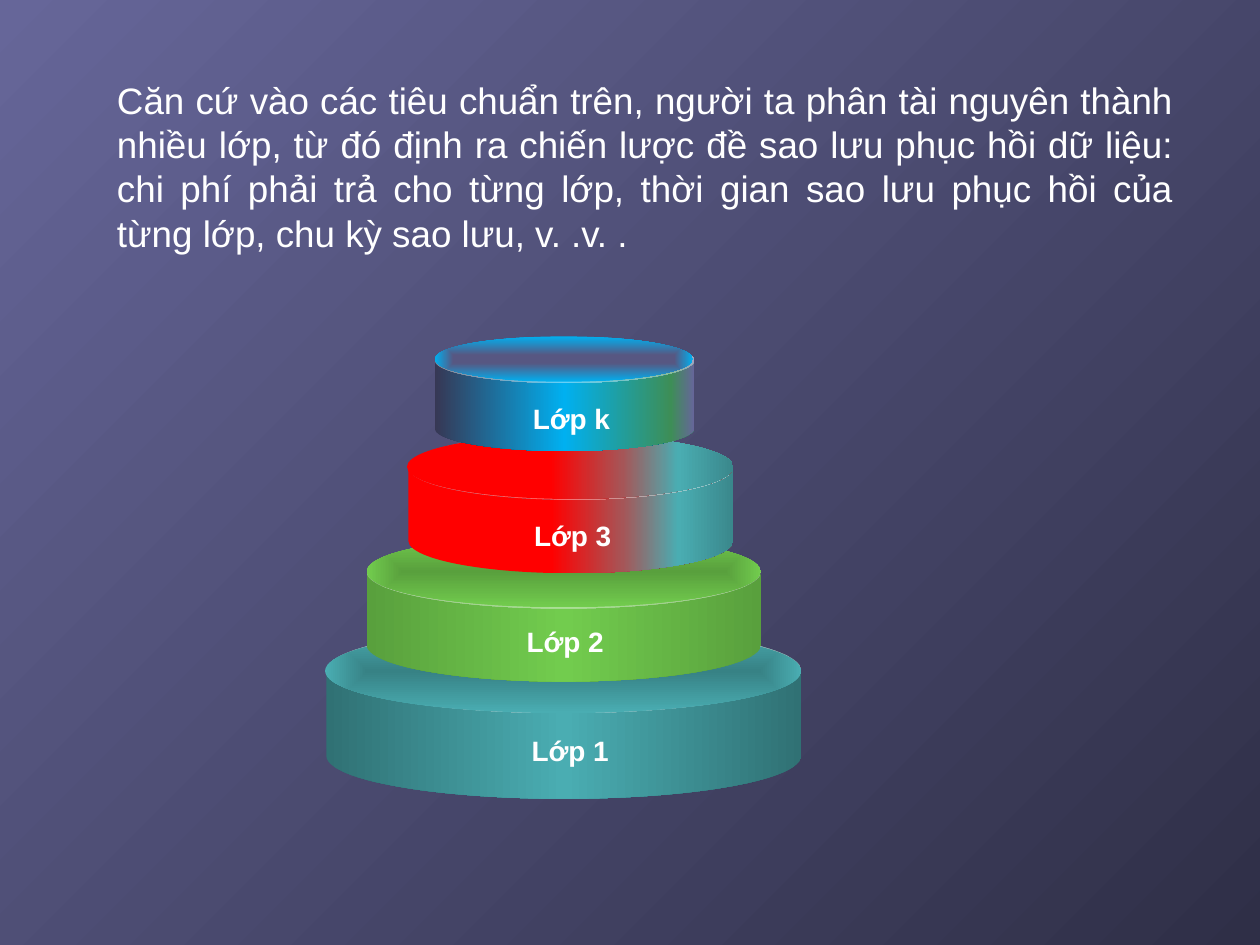
from typing import Any, NamedTuple

from lxml.etree import SubElement
from pptx import Presentation
from pptx.dml.color import RGBColor
from pptx.enum.shapes import MSO_SHAPE
from pptx.enum.text import MSO_AUTO_SIZE, PP_ALIGN
from pptx.oxml import parse_xml
from pptx.oxml.ns import nsdecls, qn
from pptx.util import Inches, Pt

WIDTH, HEIGHT = Inches(10), Inches(7.5)
COLUMNS, ROWS = 100, 75
INTRO = (
    "Căn cứ vào các tiêu chuẩn trên, người ta phân tài nguyên thành nhiều lớp, "
    "từ đó định ra chiến lược đề sao lưu phục hồi dữ liệu: chi phí phải trả cho "
    "từng lớp, thời gian sao lưu phục hồi của từng lớp, chu kỳ sao lưu, v. .v. . "
)


class Area(NamedTuple):
    """Left, top, width and height in grid columns and rows."""

    left: float
    top: float
    width: float
    height: float


class Stop(NamedTuple):
    """A gradient stop, with the share of light kept in percent."""

    position: int
    colour: str
    shade: int = 100


class Gradient(NamedTuple):
    """Gradient stops, linear at an angle or following the outline."""

    stops: list[Stop]
    angle: int = 0
    radial: bool = False


class Tier(NamedTuple):
    """One layer of the tower."""

    label: str
    body: Area
    depth: float
    body_fill: Gradient
    lid: Area
    lid_fill: Gradient
    caption: Area
    align: Any = PP_ALIGN.CENTER
    wrap: bool = True


def across(colour: str, shade: int) -> Gradient:
    """Return a gradient that is bright in the middle."""
    return Gradient([Stop(0, colour, shade), Stop(50, colour), Stop(100, colour, shade)])


def inward(colour: str, shade: int) -> Gradient:
    """Return a gradient that darkens towards the centre."""
    return Gradient([Stop(0, colour, shade), Stop(100, colour)], radial=True)


RED_TO_TEAL = Gradient(
    [Stop(44, "FF0000"), Stop(66, "A65557"), Stop(83, "4AADB2"), Stop(100, "4AADB2", 58)]
)
BLUE_BODY = Gradient(
    [Stop(0, "373754"), Stop(50, "00B0F0"), Stop(91, "3D8E57"), Stop(100, "666699")]
)
BLUE_LID = Gradient([Stop(18, "575782"), Stop(100, "00B0F0")], radial=True)

TIERS = [
    Tier("Lớp 1", Area(25.9, 49.8, 37.7, 13.6), 0.5, across("4AADB2", 38),
         Area(25.8, 49.9, 37.8, 6.7), inward("4AADB2", 52), Area(36.3, 57.7, 17.9, 3.7)),
    Tier("Lớp 2", Area(29.1, 42.5, 31.3, 11.6), 0.5, across("72CC4E", 58),
         Area(29.1, 42.5, 31.3, 5.7), inward("72CC4E", 58), Area(35.9, 49.1, 17.9, 3.7)),
    Tier("Lớp 3", Area(32.4, 34.5, 25.8, 11), 0.47, RED_TO_TEAL,
         Area(32.3, 34.5, 25.9, 5.1), RED_TO_TEAL, Area(41.4, 40.7, 8.2, 3.7),
         PP_ALIGN.LEFT, False),
    Tier("Lớp k", Area(34.5, 26.8, 20.6, 9), 0.4, BLUE_BODY,
         Area(34.5, 26.7, 20.5, 3.6), BLUE_LID, Area(41.3, 31.4, 8.2, 3.7), PP_ALIGN.LEFT),
]


def place(area: Area) -> tuple[int, ...]:
    """Turn grid units into slide lengths."""
    across_unit, down_unit = WIDTH / COLUMNS, HEIGHT / ROWS
    units = (across_unit, down_unit, across_unit, down_unit)
    return tuple(round(share * unit) for share, unit in zip(area, units))


def colour_of(code: str) -> RGBColor:
    """Return the colour for a hex string."""
    return RGBColor.from_string(code)


def apply_format(target: Any, values: dict[str, Any]) -> None:
    """Set every attribute named in the format values."""
    for name, value in values.items():
        setattr(target, name, value)


def apply_gradient(properties: Any, gradient: Gradient) -> None:
    """Replace the empty fill of a properties element by a gradient."""
    fill = parse_xml(f'<a:gradFill {nsdecls("a")} rotWithShape="1"><a:gsLst/></a:gradFill>')
    for stop in gradient.stops:
        mark = SubElement(fill[0], qn("a:gs"), pos=str(stop.position * 1000))
        tone = SubElement(mark, qn("a:srgbClr"), val=str(colour_of(stop.colour)))
        if stop.shade < 100:
            SubElement(tone, qn("a:shade"), val=str(stop.shade * 1000))
    if gradient.radial:
        outline = SubElement(fill, qn("a:path"), path="shape")
        SubElement(outline, qn("a:fillToRect"), dict.fromkeys("ltrb", "50000"))
    else:
        SubElement(fill, qn("a:lin"), ang=str(gradient.angle * 60000), scaled="1")
    properties.replace(properties.find(qn("a:noFill")), fill)


def draw_solid(slide: Any, kind: MSO_SHAPE, area: Area, gradient: Gradient) -> Any:
    """Draw a gradient shape without outline or shadow."""
    solid = slide.shapes.add_shape(kind, *place(area))
    solid.shadow.inherit = False
    solid.line.fill.background()
    solid.fill.background()
    apply_gradient(solid._element.spPr, gradient)
    return solid


def draw_words(slide: Any, words: str, area: Area, size: int, align: Any,
               bold: bool = False, wrap: bool = True) -> None:
    """Draw one paragraph of white text."""
    frame = slide.shapes.add_textbox(*place(area)).text_frame
    apply_format(frame, {"word_wrap": wrap, "auto_size": MSO_AUTO_SIZE.SHAPE_TO_FIT_TEXT})
    paragraph = frame.paragraphs[0]
    paragraph.alignment = align
    run = paragraph.add_run()
    run.text = words
    apply_format(run.font, {"name": "Arial", "size": Pt(size), "bold": bold})
    run.font.color.rgb = colour_of("FFFFFF")


def draw_tier(slide: Any, tier: Tier) -> None:
    """Draw the body, lid and caption of a tier."""
    body = draw_solid(slide, MSO_SHAPE.CAN, tier.body, tier.body_fill)
    body.adjustments[0] = tier.depth
    draw_solid(slide, MSO_SHAPE.OVAL, tier.lid, tier.lid_fill)
    draw_words(slide, tier.label, tier.caption, 16, tier.align, True, tier.wrap)


def main() -> None:
    """Build the slide and save it."""
    deck = Presentation()
    apply_format(deck, {"slide_width": WIDTH, "slide_height": HEIGHT})
    slide = deck.slides.add_slide(deck.slide_layouts[6])
    slide.background.fill.background()
    backdrop = Gradient([Stop(0, "666699"), Stop(100, "2F2F47")], angle=45)
    apply_gradient(slide._element.find(".//" + qn("p:bgPr")), backdrop)
    draw_words(slide, INTRO, Area(8.3, 5.7, 85.8, 15.1), 21, PP_ALIGN.JUSTIFY)
    for tier in TIERS:
        draw_tier(slide, tier)
    deck.save("out.pptx")


if __name__ == "__main__":
    main()
